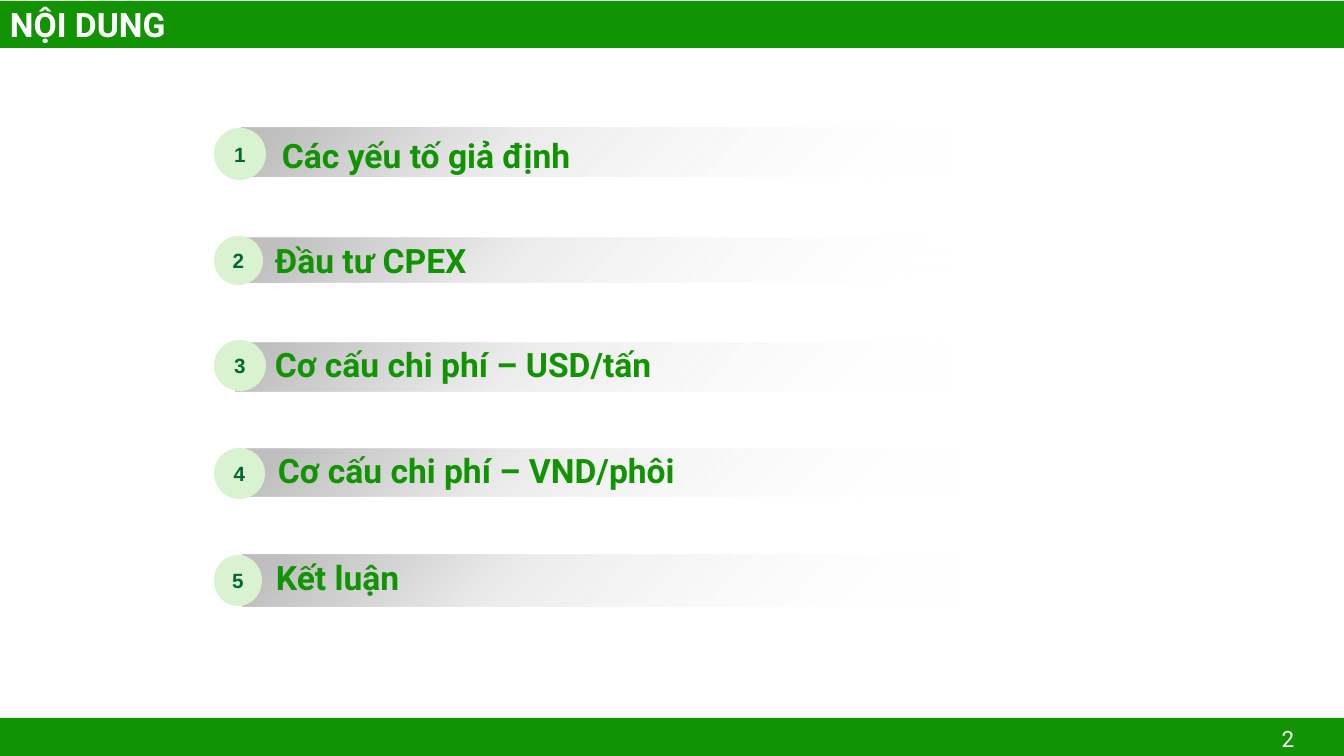
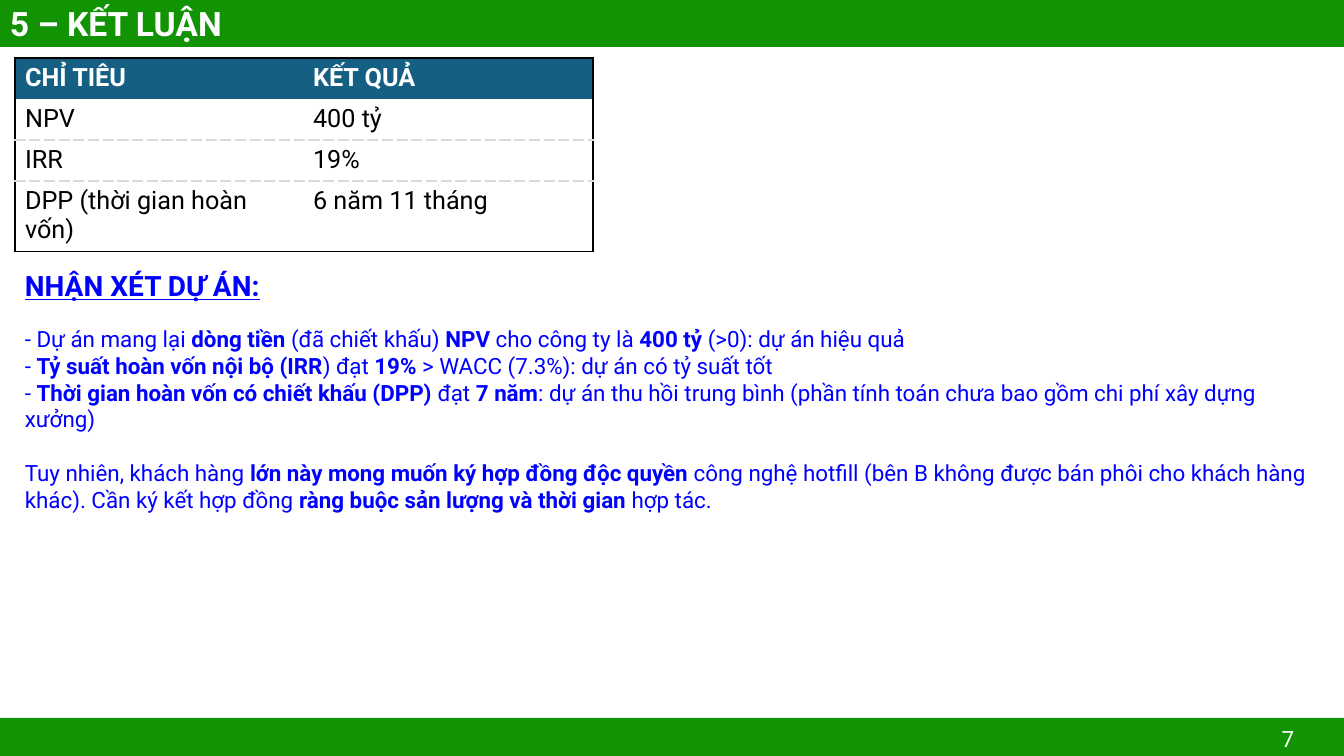
from lxml import etree
from pptx import Presentation
from pptx.dml.color import RGBColor
from pptx.enum.shapes import MSO_SHAPE
from pptx.enum.text import MSO_ANCHOR, PP_ALIGN
from pptx.oxml.ns import qn
from pptx.util import Emu, Pt

RECTANGLE, OVAL = MSO_SHAPE.RECTANGLE, MSO_SHAPE.OVAL
MIDDLE, TOP = MSO_ANCHOR.MIDDLE, MSO_ANCHOR.TOP
LEFT, CENTER, RIGHT = PP_ALIGN.LEFT, PP_ALIGN.CENTER, PP_ALIGN.RIGHT

EMU_PER_PX = 914400 / 100.8
PAGE_WIDTH, PAGE_HEIGHT = 1344, 756
PLAIN_TABLE_STYLE = "{2D5ABB26-0587-4C30-8999-92F81FD0307C}"

COLORS = {
    "green": "119303",
    "mint": "D9F2D0",
    "forest": "006736",
    "white": "FFFFFF",
    "black": "000000",
    "blue": "0000FF",
    "teal": "156082",
    "silver": "BFBFBF",
    "dash": "D9D9D9",
}

FORMATS = {
    "title": {"name": "Roboto", "size": Pt(24), "bold": True, "color": "white"},
    "number": {"name": "Roboto", "size": Pt(16), "bold": False, "color": "white"},
    "entry": {"name": "Roboto", "size": Pt(24), "bold": True, "color": "green"},
    "digit": {"name": "Arial", "size": Pt(14.7), "bold": True, "color": "forest"},
    "header": {"name": "Roboto", "size": Pt(18), "bold": True, "color": "white"},
    "cell": {"name": "Roboto", "size": Pt(18), "bold": False, "color": "black"},
    "heading": {"name": "Roboto", "size": Pt(20), "bold": True, "underline": True, "color": "blue"},
    "remark": {"name": "Roboto", "size": Pt(16), "bold": False, "color": "blue"},
}

BAR_STOPS = [(5, "silver", 100), (37, "silver", 31), (100, "white", 0)]

CONTENTS = [
    {"text": "Các yếu tố giả định", "top": 128, "disc": (52, 52),
     "bar": (28, 0, 713, 49), "label": (58, 2, 976, 50)},
    {"text": "Đầu tư CPEX", "top": 236, "disc": (49, 49),
     "bar": (26, 2, 713, 44), "label": (51, -1, 807, 50)},
    {"text": "Cơ cấu chi phí – USD/tấn", "top": 340, "disc": (52, 51),
     "bar": (22, 3, 713, 48), "label": (51, -1, 785, 50)},
    {"text": "Cơ cấu chi phí – VND/phôi", "top": 448, "disc": (51, 51),
     "bar": (32, 1, 713, 48), "label": (54, -3, 807, 50)},
    {"text": "Kết luận", "top": 555, "disc": (48, 51),
     "bar": (29, 0, 713, 51), "label": (52, -3, 807, 50)},
]

RESULTS = [
    ("CHỈ TIÊU", "KẾT QUẢ"),
    ("NPV", "400 tỷ"),
    ("IRR", "19%"),
    ("DPP (thời gian hoàn vốn)", "6 năm 11 tháng"),
]

REMARKS = [
    ("- Dự án mang lại **dòng tiền** (đã chiết khấu) **NPV** cho công ty là "
     "**400 tỷ **(>0): dự án hiệu quả", 16),
    ("- **Tỷ suất hoàn vốn nội bộ (IRR**) đạt **19% **> WACC (7.3%): "
     "dự án có tỷ suất tốt", 0),
    ("- **Thời gian hoàn vốn có chiết khấu (DPP) **đạt **7 năm**: dự án thu hồi "
     "trung bình (phần tính toán chưa bao gồm chi phí xây dựng xưởng)", 0),
    ("Tuy nhiên, khách hàng **lớn này mong muốn ký hợp đồng độc quyền** công nghệ "
     "hotfill (bên B không được bán phôi cho khách hàng khác). Cần ký kết hợp đồng "
     "**ràng buộc sản lượng và thời gian **hợp tác.", 19),
]


def px(*lengths):
    return [Emu(round(length * EMU_PER_PX)) for length in lengths]


def rgb(name):
    return RGBColor.from_string(COLORS[name])


def set_format(font, values):
    for key, value in values.items():
        if key == "color":
            font.color.rgb = rgb(value)
        else:
            setattr(font, key, value)


def write(para, text, style, align=LEFT):
    para.alignment = align
    for index, part in enumerate(text.split("**")):
        if part:
            span = para.add_run()
            span.text = part
            set_format(span.font, FORMATS[style])
            if index % 2:
                span.font.bold = True


def set_frame(frame, **values):
    for key, value in {"word_wrap": True, "vertical_anchor": MIDDLE, **values}.items():
        setattr(frame, key, value)


def add_box(shapes, kind, box, color):
    shape = shapes.add_shape(kind, *px(*box))
    shape.shadow.inherit = False
    shape.line.fill.background()
    if color:
        shape.fill.solid()
        shape.fill.fore_color.rgb = rgb(color)
    set_frame(shape.text_frame)
    return shape


def add_label(shapes, box, text, style, align=LEFT):
    label = shapes.add_textbox(*px(*box))
    set_frame(label.text_frame)
    write(label.text_frame.paragraphs[0], text, style, align)


def fade(shape):
    shape.fill.gradient()
    shape.fill.gradient_angle = 315
    stops = next(shape.element.iter(qn("a:gsLst")))
    for stop in list(stops):
        stops.remove(stop)
    for position, color, opacity in BAR_STOPS:
        stop = etree.SubElement(stops, qn("a:gs"), pos=str(position * 1000))
        tone = etree.SubElement(stop, qn("a:srgbClr"), val=COLORS[color])
        etree.SubElement(tone, qn("a:alpha"), val=str(opacity * 1000))


def add_page(deck, title, number, band_top):
    page = deck.slides.add_slide(deck.slide_layouts[6])
    add_box(page.shapes, RECTANGLE, (0, 718, PAGE_WIDTH, 38), "green")
    band = add_box(page.shapes, RECTANGLE, (0, band_top, PAGE_WIDTH, 47), "green")
    write(band.text_frame.paragraphs[0], title, "title")
    add_label(page.shapes, (1243, 723, 61, 31), number, "number", RIGHT)
    return page


def add_entry(page, left, number, entry):
    group = page.shapes.add_group_shape()
    top = entry["top"]

    def place(x, y, width, height):
        return left + x, top + y, width, height

    fade(add_box(group.shapes, RECTANGLE, place(*entry["bar"]), None))
    add_label(group.shapes, place(*entry["label"]), entry["text"], "entry")
    disc = add_box(group.shapes, OVAL, place(0, 0, *entry["disc"]), "mint")
    side, end = px(8, 10)
    set_frame(disc.text_frame, margin_left=side, margin_right=side,
              margin_top=end, margin_bottom=end)
    write(disc.text_frame.paragraphs[0], str(number), "digit", CENTER)


def add_border(cell, side, color, dash):
    line = etree.SubElement(cell._tc.get_or_add_tcPr(), qn("a:ln" + side), w=str(Pt(1)))
    fill = etree.SubElement(line, qn("a:solidFill"))
    etree.SubElement(fill, qn("a:srgbClr"), val=COLORS[color])
    etree.SubElement(line, qn("a:prstDash"), val=dash)


def cell_borders(row, column):
    solid, dashed = ("black", "solid"), ("dash", "sysDash")
    last = len(RESULTS) - 1
    yield ("L" if column == 0 else "R", *solid)
    if row != 1:
        yield ("T", *(solid if row == 0 else dashed))
    if row > 0:
        yield ("B", *(solid if row == last else dashed))


def add_results(page, left, top, widths, row_height):
    box = px(left, top, sum(widths), row_height * len(RESULTS))
    table = page.shapes.add_table(len(RESULTS), len(widths), *box).table
    table.horz_banding = False
    next(table._tbl.iter(qn("a:tableStyleId"))).text = PLAIN_TABLE_STYLE
    for column, width in zip(table.columns, px(*widths)):
        column.width = width
    for row, texts in enumerate(RESULTS):
        for column, text in enumerate(texts):
            cell = table.cell(row, column)
            for border in cell_borders(row, column):
                add_border(cell, *border)
            if row == 0:
                cell.fill.solid()
                cell.fill.fore_color.rgb = rgb("teal")
            else:
                cell.fill.background()
            write(cell.text_frame.paragraphs[0], text, "cell" if row else "header")


def add_remarks(page, box):
    frame = page.shapes.add_textbox(*px(*box)).text_frame
    set_frame(frame, vertical_anchor=TOP)
    write(frame.paragraphs[0], "NHẬN XÉT DỰ ÁN:", "heading")
    for text, gap in REMARKS:
        para = frame.add_paragraph()
        para.space_before = Pt(gap)
        write(para, text, "remark")


def build_contents(deck):
    page = add_page(deck, "NỘI DUNG", "2", 1)
    for number, entry in enumerate(CONTENTS, 1):
        add_entry(page, 214, number, entry)


def build_conclusion(deck):
    page = add_page(deck, "5 – KẾT LUẬN", "7", 0)
    add_results(page, 15, 58, (288, 290), 41)
    add_remarks(page, (15, 264, 1320, 231))


def main():
    deck = Presentation()
    deck.slide_width, deck.slide_height = px(PAGE_WIDTH, PAGE_HEIGHT)
    build_contents(deck)
    build_conclusion(deck)
    deck.save("out.pptx")


if __name__ == "__main__":
    main()
